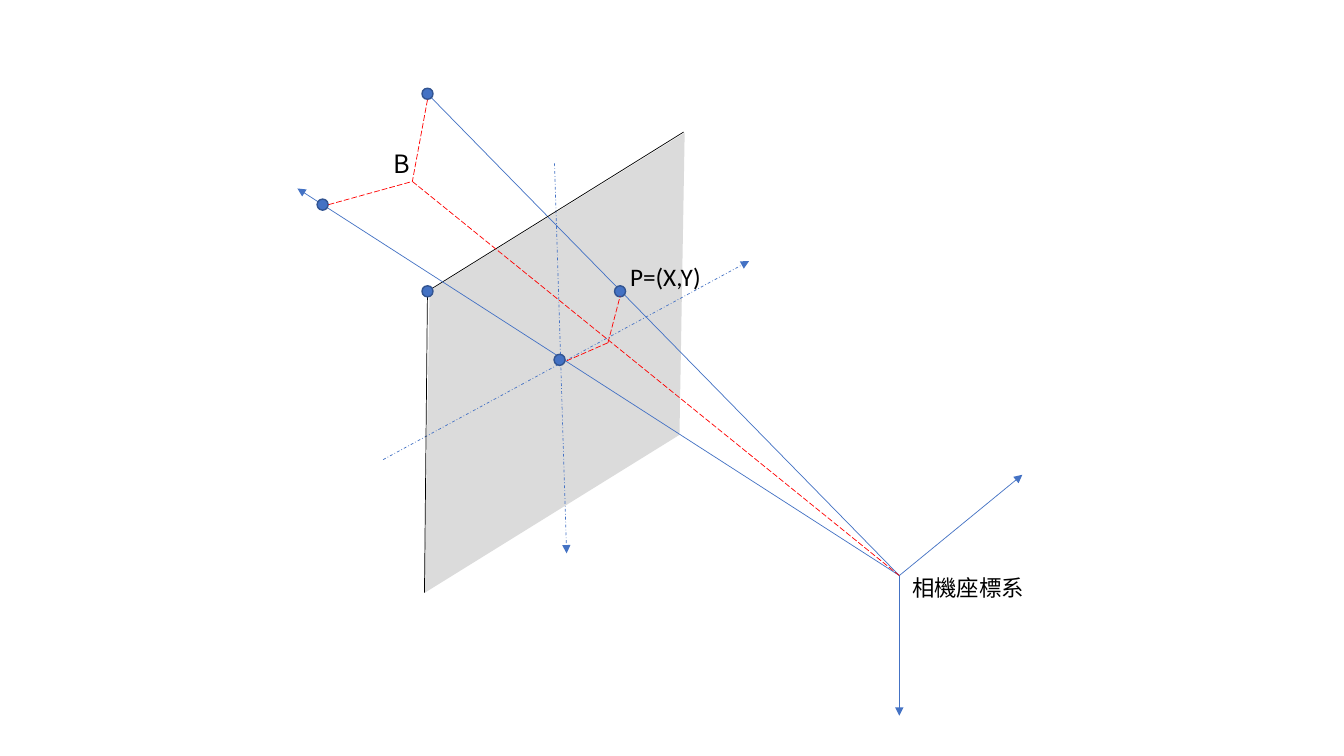
from lxml.etree import SubElement
from pptx import Presentation
from pptx.dml.color import RGBColor
from pptx.enum.dml import MSO_LINE
from pptx.enum.shapes import MSO_CONNECTOR, MSO_SHAPE
from pptx.oxml.ns import qn
from pptx.util import Inches, Pt

COLUMNS, ROWS = 1333, 750
BLUE, NAVY, RED, BLACK, GREY = "4472C4", "325491", "FF0000", "000000", "DBDBDB"
DOT_SIZE = 11

POINTS = {
    "camera": (892, 571), "camera x": (1014, 471), "camera y": (892, 710),
    "optical end": (295, 187), "world P": (424, 93), "axis point": (320, 203),
    "B": (409, 180), "corner": (424, 289), "plane right": (678, 131),
    "plane bottom": (421, 588), "x start": (380, 456), "x end": (743, 259),
    "y start": (550, 162), "y end": (562, 549), "P": (615, 289),
    "center": (555, 357), "foot": (603, 340), "axis edge": (326, 203),
    "world P edge": (424, 99), "P edge": (615, 294), "center edge": (562, 358),
}
PLANE = {"at": (320, 234, 460, 252), "slant": 0.644, "turn": 328.2}
SOLID, AXIS, EDGE = (BLUE, None, False), (BLUE, None, True), (BLACK, None, False)
IMAGE_AXIS = (BLUE, MSO_LINE.DASH_DOT, True)
PROJECTION = (RED, MSO_LINE.LONG_DASH, False)
BACK_LINES = [
    ("camera", "camera x", AXIS), ("camera", "camera y", AXIS),
    ("camera", "world P", SOLID), ("x start", "x end", IMAGE_AXIS),
    ("y start", "y end", IMAGE_AXIS), ("plane right", "corner", EDGE),
    ("corner", "plane bottom", EDGE), ("camera", "optical end", AXIS),
]
DOTS = ["P", "world P", "center", "corner", "axis point"]
FRONT_LINES = [
    ("axis edge", "B", PROJECTION), ("world P edge", "B", PROJECTION),
    ("B", "camera", PROJECTION), ("foot", "P edge", PROJECTION),
    ("center edge", "foot", PROJECTION),
]
LABELS = [
    ("P=(X,Y)", (615, 254, 202, 40), 18, "Calibri", True),
    ("相機座標系", (895, 565, 167, 37), 16, "Noto Sans CJK SC", True),
    ("B", (380, 142, 33, 40), 18, "Noto Sans CJK SC", False),
]


def color(value):
    return RGBColor.from_string(value)


def grid(*cells):
    return [Inches(cell / 100) for cell in cells]


def add_lines(page, lines):
    for start, end, (line_color, dash, arrow) in lines:
        line = page.shapes.add_connector(
            MSO_CONNECTOR.STRAIGHT, *grid(*POINTS[start], *POINTS[end]))
        line.line.color.rgb = color(line_color)
        line.line.width = Pt(0.5)
        if dash:
            line.line.dash_style = dash
        if arrow:
            SubElement(line.line._get_or_add_ln(), qn("a:tailEnd"), type="triangle")
        SubElement(line._element.spPr, qn("a:effectLst"))


def add_solid(page, kind, area, fill):
    shape = page.shapes.add_shape(kind, *grid(*area))
    shape.shadow.inherit = False
    shape.fill.solid()
    shape.fill.fore_color.rgb = color(fill)
    return shape


def add_plane(page):
    plane = add_solid(page, MSO_SHAPE.PARALLELOGRAM, PLANE["at"], GREY)
    plane.adjustments[0] = PLANE["slant"]
    plane.rotation = PLANE["turn"]
    plane.line.fill.background()


def add_dots(page):
    for name in DOTS:
        x, y = POINTS[name]
        area = (x - DOT_SIZE / 2, y - DOT_SIZE / 2, DOT_SIZE, DOT_SIZE)
        dot = add_solid(page, MSO_SHAPE.OVAL, area, BLUE)
        dot.line.color.rgb = color(NAVY)
        dot.line.width = Pt(1)


def add_labels(page):
    for text, area, size, font, wrap in LABELS:
        box = page.shapes.add_textbox(*grid(*area))
        box.text_frame.word_wrap = wrap
        box.text_frame.text = text
        span = box.text_frame.paragraphs[0].runs[0]
        span.font.size = Pt(size)
        span.font.name = font
        span.font.color.rgb = color(BLACK)
        SubElement(span.font._element, qn("a:ea"), typeface=font)


def main():
    """Draw the camera projection diagram."""
    deck = Presentation()
    deck.slide_width, deck.slide_height = grid(COLUMNS, ROWS)
    page = deck.slides.add_slide(deck.slide_layouts[6])
    add_plane(page)
    add_lines(page, BACK_LINES)
    add_dots(page)
    add_lines(page, FRONT_LINES)
    add_labels(page)
    deck.save("out.pptx")


if __name__ == "__main__":
    main()
